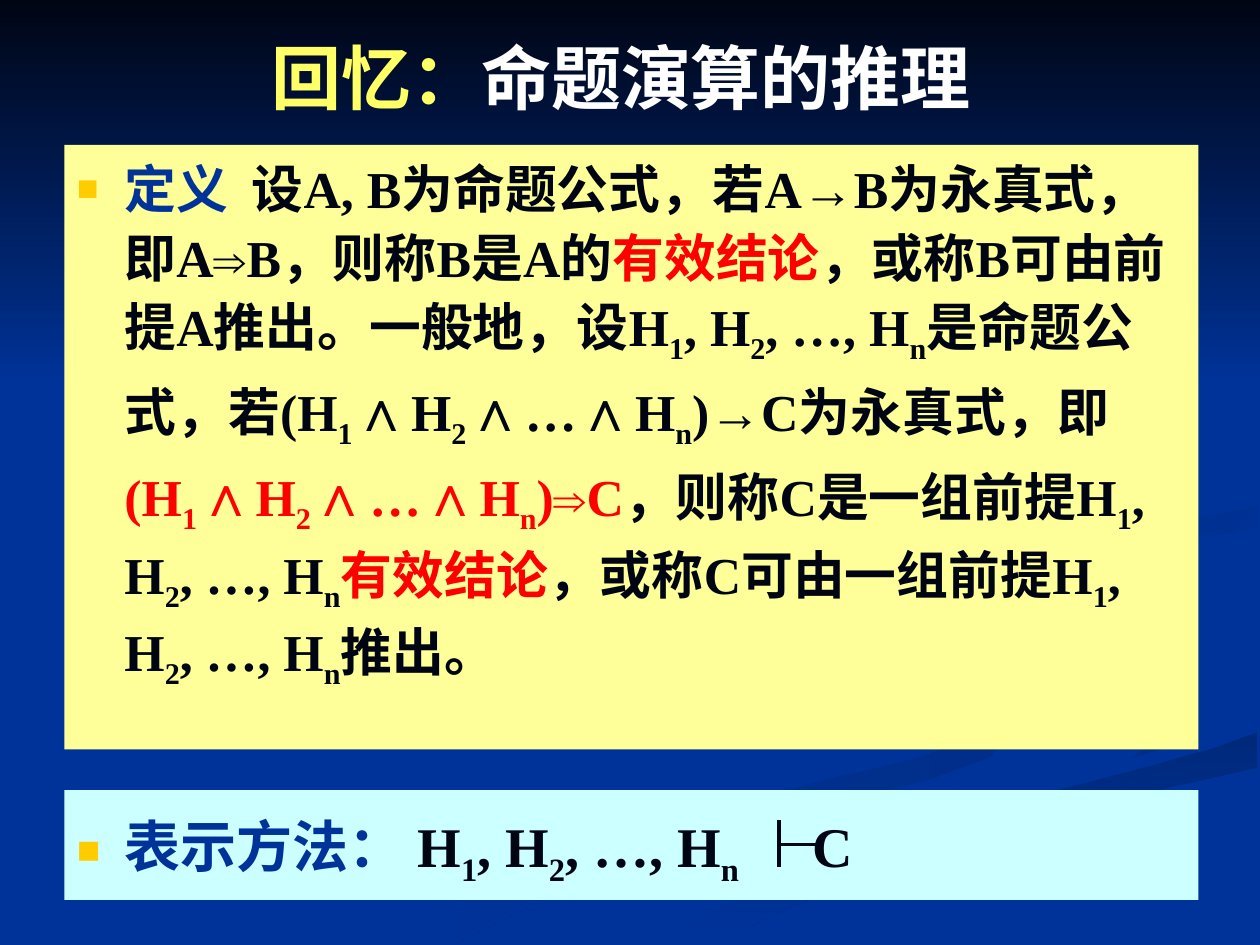
from itertools import groupby

from lxml.etree import SubElement as Sub
from pptx import Presentation
from pptx.dml.color import RGBColor as Rgb
from pptx.enum.lang import MSO_LANGUAGE_ID as Lang
from pptx.enum.shapes import MSO_CONNECTOR as Link, MSO_SHAPE as Kind
from pptx.enum.text import MSO_ANCHOR as Anchor, PP_ALIGN as Align
from pptx.oxml.ns import qn
from pptx.util import Cm, Pt

HUE = {
    "blue": "003399", "ink": "000514", "lemon": "FFFF66", "white": "FFFFFF",
    "cream": "FFFF99", "ice": "CCFFFF", "red": "FF0000", "gold": "FFCC00",
    "dusk": "002E8A", "deep": "00297C", "navy": "002C85",
}
FACE = "Times New Roman"
UNIT = Cm(0.0254)  # swoosh points are hundredths of an inch

# Swooshes: first hue, last hue, clockwise angle, outline
WAVES = [
    ("dusk", "blue", 180, [
        (781, 553), (757, 543), (715, 528), (661, 513), (626, 502), (594, 485),
        (579, 473), (575, 459), (570, 468), (576, 480), (602, 495), (679, 519),
        (728, 535), (770, 551), (785, 562), (783, 574), (767, 587), (727, 602),
        (652, 620), (579, 639), (499, 661), (417, 690), (338, 727), (300, 749),
        (361, 749), (431, 714), (499, 687), (564, 665), (651, 640), (740, 618),
        (786, 601), (800, 581), (792, 561)]),
    ("dusk", "blue", 225, [
        (943, 570), (930, 553), (888, 535), (811, 515), (758, 498), (733, 483),
        (724, 464), (727, 479), (746, 500), (781, 518), (838, 536), (892, 553),
        (915, 571), (914, 589), (894, 605), (925, 593), (941, 581)]),
    ("deep", "blue", 90, [
        (519, 747), (503, 749), (571, 749), (614, 726), (670, 702), (752, 672),
        (861, 640), (998, 609), (998, 581), (963, 594), (903, 610), (797, 638),
        (696, 669), (630, 693), (569, 719)]),
    ("blue", None, 0, [
        (725, 464), (734, 483), (775, 503), (851, 524), (905, 540), (939, 562),
        (943, 575), (926, 593), (881, 608), (780, 634), (663, 668), (573, 703),
        (477, 749), (519, 747), (599, 706), (696, 669), (797, 638), (920, 606),
        (999, 581), (999, 538), (941, 527), (866, 509), (804, 485), (781, 463),
        (800, 442), (850, 427), (933, 415), (999, 402), (999, 387), (920, 401),
        (808, 417), (742, 439)]),
    ("blue", "navy", 225, [
        (781, 460), (786, 474), (806, 487), (826, 496), (809, 483), (806, 468),
        (828, 453), (878, 439), (954, 426), (998, 420), (998, 402), (933, 415),
        (865, 424), (810, 437)]),
]


class Deck:
    def __init__(self):
        self.prs = Presentation()
        self.prs.slide_width, self.prs.slide_height = Cm(25.4), Cm(19.05)
        self.page = self.prs.slides.add_slide(self.prs.slide_layouts[5])
        self.items = self.page.shapes
        back = self.page.background.fill
        back.solid()
        back.fore_color.rgb = self.hue("blue")

    def hue(self, name):
        return Rgb.from_string(HUE[name])

    def paint(self, item, first, last=None, turn=0):
        item.shadow.inherit = False
        item.line.fill.background()
        fill = item.fill
        if last:
            fill.gradient()
            fill.gradient_angle = (360 - turn) % 360
            for stop, name in zip(fill.gradient_stops, (first, last)):
                stop.color.rgb = self.hue(name)
        else:
            fill.solid()
            fill.fore_color.rgb = self.hue(first)

    def block(self, x, y, wide, high, *fill):
        item = self.items.add_shape(
            Kind.RECTANGLE, Cm(x), Cm(y), Cm(wide), Cm(high))
        self.paint(item, *fill)
        return item

    def wave(self, first, last, turn, dots):
        pen = self.items.build_freeform(*dots[0], scale=UNIT)
        pen.add_line_segments(dots[1:], close=True)
        self.paint(pen.convert_to_shape(), first, last, turn)

    def run(self, par, text, size, name, face=FACE):
        run = par.add_run()
        run.text = text
        font = run.font
        font.name, font.size, font.bold = face, Pt(size), True
        font.color.rgb = self.hue(name)
        font.language_id = Lang.SIMPLIFIED_CHINESE
        return run

    def math(self, par, text, size, name):
        """Add runs: "_" lowers the next sign, and ∧ and ⇒ have own sizes."""
        signs = []
        for part, sign in zip(" " + text, text):
            if sign != "_":
                kind = "_" if part == "_" else sign if sign in "∧⇒" else ""
                signs.append((kind, sign))
        scale = {"∧": 1.125, "⇒": 0.875}
        for kind, group in groupby(signs, key=lambda pair: pair[0]):
            word = "".join(sign for _, sign in group)
            face = "Arial" if kind == "⇒" else FACE
            run = self.run(par, word, round(size * scale.get(kind, 1), 1),
                           name, face)
            if kind == "_":
                run.font._element.set("baseline", "-25000")

    def title(self, x, y, wide, high, parts):
        head = self.items.title
        head.left, head.top, head.width, head.height = map(
            Cm, (x, y, wide, high))
        self.items.element.append(head.element)  # above the backdrop
        frame = head.text_frame
        frame.vertical_anchor = Anchor.MIDDLE
        par = frame.paragraphs[0]
        par.alignment = Align.CENTER
        for text, name in parts:
            self.run(par, text, 40, name)

    def panel(self, x, y, wide, high, fill, size, lead, parts, tab=None):
        frame = self.block(x, y, wide, high, fill).text_frame
        frame.word_wrap = True
        frame.vertical_anchor = Anchor.TOP
        par = frame.paragraphs[0]
        par.alignment = Align.LEFT
        par.line_spacing = lead
        self.bullet(par, tab)
        for text, name in parts:
            self.math(par, text, size, name)

    def bullet(self, par, tab):
        props = par._p.get_or_add_pPr()
        props.set("marL", str(Cm(0.96)))
        props.set("indent", str(Cm(-0.96)))
        props.set("hangingPunct", "0")  # keep commas inside the margin
        Sub(Sub(props, qn("a:buClr")), qn("a:srgbClr"), val=HUE["gold"])
        Sub(props, qn("a:buSzPct"), val="70000")
        Sub(props, qn("a:buFont"), typeface="Arial")
        Sub(props, qn("a:buChar"), char="■")
        if tab:
            tabs = Sub(props, qn("a:tabLst"))
            Sub(tabs, qn("a:tab"), pos=str(Cm(tab)), algn="l")

    def line(self, *ends):
        item = self.items.add_connector(Link.STRAIGHT, *map(Cm, ends))
        item.line.width = Pt(2)
        item.line.color.rgb = self.hue("ink")
        Sub(item._element.spPr, qn("a:effectLst"))


deck = Deck()

# Backdrop
for wave in WAVES:
    deck.wave(*wave)
deck.block(0, 0, 25.4, 7.82, "ink", "blue", 90)

# Title
deck.title(1.09, 0.53, 22.86, 2.01,
           [("回忆：", "lemon"), ("命题演算的推理", "white")])

# Definition
LIST = "H_1, H_2, …, H_n"
JOIN = "(H_1∧H_2∧…∧H_n)"
deck.panel(1.3, 2.92, 22.86, 12.19, "cream", 29.6, 1.1, [
    ("定义", "blue"),
    ("  设A, B为命题公式，若A→B为永真式，即A⇒B，则称B是A的", "ink"),
    ("有效结论", "red"),
    (f"，或称B可由前提A推出。一般地，设{LIST}是命题公式，若{JOIN}→C为永真式，即",
     "ink"),
    (f"{JOIN}⇒C", "red"),
    (f"，则称C是一组前提{LIST}", "ink"),
    ("有效结论", "red"),
    (f"，或称C可由一组前提{LIST}推出。", "ink"),
])

# Notation with its turnstile
deck.panel(1.3, 15.93, 22.86, 2.21, "ice", 32, 1.2,
           [("表示方法： ", "blue"), (f"{LIST}\tC", "ink")], tab=14.84)
deck.line(15.7, 16.54, 15.7, 17.48)
deck.line(15.7, 17.02, 16.51, 17.02)

deck.prs.save("out.pptx")
